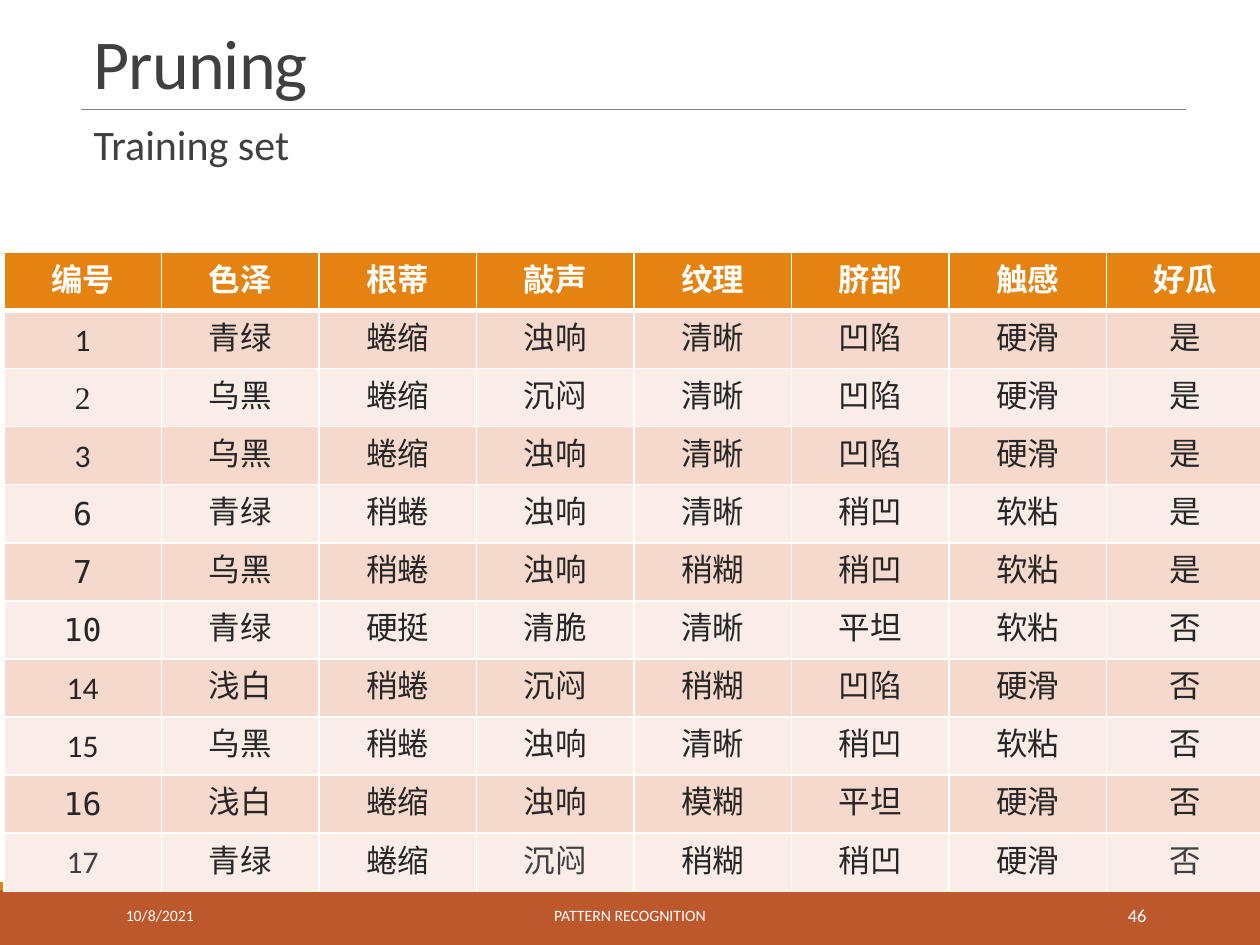
from lxml import etree
from pptx import Presentation
from pptx import util as u
from pptx.dml.color import RGBColor
from pptx.enum import shapes, text
from pptx.oxml import ns

Pt = u.Pt
Align = text.PP_ALIGN
Anchor = text.MSO_ANCHOR


def color(value):
    return RGBColor.from_string(value)


def write(paragraph, words, align, size, tint, font="Calibri", bold=False):
    paragraph.alignment = align
    run = paragraph.add_run()
    run.text = words
    run.font.color.rgb = color(tint)
    for name, value in {"name": font, "size": Pt(size), "bold": bold}.items():
        setattr(run.font, name, value)
    return run


presentation = Presentation()
presentation.slide_width, presentation.slide_height = Pt(720), Pt(540)
slide = presentation.slides.add_slide(presentation.slide_layouts[6])

for top, height, fill in [(508.3, 31.7, "BD582C"), (504, 4.7, "E48312")]:
    shape = slide.shapes.add_shape(
        shapes.MSO_SHAPE.RECTANGLE, 0, Pt(top), Pt(720), Pt(height))
    shape.shadow.inherit = False
    shape.fill.solid()
    shape.fill.fore_color.rgb = color(fill)
    shape.line.fill.background()

rule = slide.shapes.add_connector(
    shapes.MSO_CONNECTOR.STRAIGHT, Pt(46.2), Pt(62.6), Pt(677.7), Pt(62.6))
rule.line.color.rgb = color("808080")
rule.line.width = Pt(0.5)
etree.SubElement(rule._element.spPr, ns.qn("a:effectLst"))

labels = [
    ("Pruning", 46.4, 9.4, 631.5, 53.2, 40, "404040", Align.LEFT, Anchor.BOTTOM, 0.85),
    ("Training set", 46.4, 67.7, 631.5, 428.4, 24, "404040", Align.LEFT, Anchor.TOP, 0.9),
    ("10/8/2021", 64.8, 508.7, 146.2, 28.8, 9, "FFFFFF", Align.LEFT, Anchor.MIDDLE, 1.0),
    ("PATTERN RECOGNITION", 217.4, 508.7, 285.1, 28.8, 9, "FFFFFF", Align.CENTER, Anchor.MIDDLE, 1.0),
    ("46", 584.4, 508.7, 77.8, 28.8, 10.5, "FFFFFF", Align.RIGHT, Anchor.MIDDLE, 1.0),
]
for words, left, top, width, height, size, tint, align, anchor, spacing in labels:
    box = slide.shapes.add_textbox(Pt(left), Pt(top), Pt(width), Pt(height))
    frame = box.text_frame
    for name, value in {"word_wrap": True, "vertical_anchor": anchor}.items():
        setattr(frame, name, value)
    paragraph = frame.paragraphs[0]
    paragraph.line_spacing = spacing
    run = write(paragraph, words, align, size, tint)
    if words == "Pruning":
        run.font._element.set("spc", "-50")

fonts = {"C": "Calibri", "T": "Times New Roman", "D": "DejaVu Sans Mono"}
rows = [
    ("编号 色泽 根蒂 敲声 纹理 脐部 触感 好瓜", "CCCCCCCC"),
    ("1 青绿 蜷缩 浊响 清晰 凹陷 硬滑 是", "CCCCCCCC"),
    ("2 乌黑 蜷缩 沉闷 清晰 凹陷 硬滑 是", "TTCTCCCT"),
    ("3 乌黑 蜷缩 浊响 清晰 凹陷 硬滑 是", "CTCCCCCC"),
    ("6 青绿 稍蜷 浊响 清晰 稍凹 软粘 是", "DCCCCDDD"),
    ("7 乌黑 稍蜷 浊响 稍糊 稍凹 软粘 是", "DTCCDDDD"),
    ("10 青绿 硬挺 清脆 清晰 平坦 软粘 否", "DCDDCDDD"),
    ("14 浅白 稍蜷 沉闷 稍糊 凹陷 硬滑 否", "CCCCCCCC"),
    ("15 乌黑 稍蜷 浊响 清晰 稍凹 软粘 否", "CCCCCDCC"),
    ("16 浅白 蜷缩 浊响 模糊 平坦 硬滑 否", "DCCCCDCD"),
    ("17 青绿 蜷缩 沉闷 稍糊 稍凹 硬滑 否", "CCCCCDCC"),
]
lighter_cells = {(10, 0), (10, 3), (10, 7)}
row_height = 33.22

table = slide.shapes.add_table(
    len(rows), 8, Pt(2.2), Pt(144.2), Pt(720), Pt(row_height * len(rows))).table
table.horz_banding = False
for column in table.columns:
    column.width = Pt(90)

for row_index, (values, font_codes) in enumerate(rows):
    header = row_index == 0
    table.rows[row_index].height = Pt(row_height)
    fill = "E48312" if header else ("FAEDE7", "F5D9CC")[row_index % 2]
    for column_index, (words, code) in enumerate(zip(values.split(), font_codes)):
        cell = table.cell(row_index, column_index)
        top, bottom = (4, 3) if words.isdigit() else (1.3, 5.9)
        cell_format = {"vertical_anchor": Anchor.MIDDLE,
                       "margin_top": Pt(top), "margin_bottom": Pt(bottom)}
        for name, value in cell_format.items():
            setattr(cell, name, value)
        cell.fill.solid()
        cell.fill.fore_color.rgb = color(fill)
        tint = "404040" if (row_index, column_index) in lighter_cells else "262626"
        write(cell.text_frame.paragraphs[0], words, Align.CENTER, 18,
              "FFFFFF" if header else tint, fonts[code], header)
        properties = cell._tc.get_or_add_tcPr()
        for position, side in enumerate("LRTB"):
            thick = (row_index, side) in {(0, "B"), (1, "T")}
            border = etree.Element(ns.qn(f"a:ln{side}"), w=str(Pt(3 if thick else 1)))
            paint = etree.SubElement(border, ns.qn("a:solidFill"))
            etree.SubElement(paint, ns.qn("a:srgbClr"), val="FFFFFF")
            properties.insert(position, border)

presentation.save("out.pptx")
